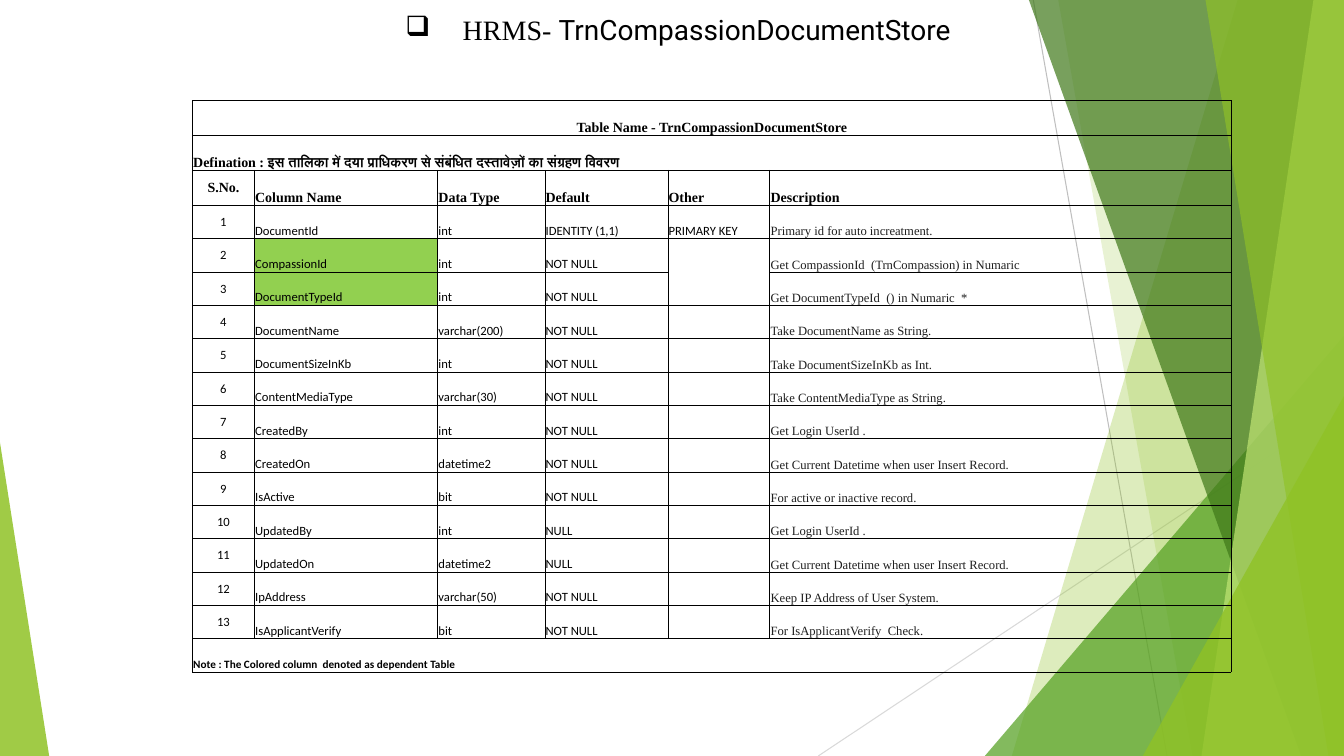
"""Build the slide that documents the TrnCompassionDocumentStore table."""
import lxml.etree
import pptx
import pptx.dml.color
import pptx.enum.shapes
import pptx.enum.text
import pptx.oxml.ns
import pptx.util

Cm = pptx.util.Cm
Pt = pptx.util.Pt
qn = pptx.oxml.ns.qn
CENTER = pptx.enum.text.PP_ALIGN.CENTER
LEFT = pptx.enum.text.PP_ALIGN.LEFT
BOTTOM = pptx.enum.text.MSO_ANCHOR.BOTTOM
MIDDLE = pptx.enum.text.MSO_ANCHOR.MIDDLE

SLIDE_WIDTH, SLIDE_HEIGHT = 33.87, 19.05
SERIF, SANS, TITLE_FONT = "Times New Roman", "Calibri", "Roboto"
COLORS = {
    "black": "000000", "ink": "1F1F1F", "dependent": "92D050",
    "gray": "BFBFBF", "pale_gray": "D9D9D9", "lime": "90C226",
    "green": "54A021", "dark_green": "3F7819", "pale_lime": "C0E474",
}
COLUMN_WIDTHS = [1.56, 4.62, 2.7, 3.1, 2.57, 11.62]
TALL_ROW, ROW = 0.88, 0.84
TABLE_NAME = "Table Name - TrnCompassionDocumentStore"
DEFINITION = "Defination : इस तालिका में दया प्राधिकरण से संबंधित दस्तावेज़ों का संग्रहण विवरण"
NOTE = "Note : The Colored column  denoted as dependent Table"
HEADINGS = ["S.No.", "Column Name", "Data Type", "Default", "Other", "Description"]
FIELDS = [
    ("DocumentId", "int", "IDENTITY (1,1)", "PRIMARY KEY", "Primary id for auto increatment."),
    ("CompassionId", "int", "NOT NULL", "", "Get CompassionId  (TrnCompassion) in Numaric"),
    ("DocumentTypeId", "int", "NOT NULL", "", "Get DocumentTypeId  () in Numaric  *"),
    ("DocumentName", "varchar(200)", "NOT NULL", "", "Take DocumentName as String."),
    ("DocumentSizeInKb", "int", "NOT NULL", "", "Take DocumentSizeInKb as Int."),
    ("ContentMediaType", "varchar(30)", "NOT NULL", "", "Take ContentMediaType as String."),
    ("CreatedBy", "int", "NOT NULL", "", "Get Login UserId ."),
    ("CreatedOn", "datetime2", "NOT NULL", "", "Get Current Datetime when user Insert Record."),
    ("IsActive", "bit", "NOT NULL", "", "For active or inactive record."),
    ("UpdatedBy", "int", "NULL", "", "Get Login UserId ."),
    ("UpdatedOn", "datetime2", "NULL", "", "Get Current Datetime when user Insert Record."),
    ("IpAddress", "varchar(50)", "NOT NULL", "", "Keep IP Address of User System."),
    ("IsApplicantVerify", "bit", "NOT NULL", "", "For IsApplicantVerify  Check."),
]
DEPENDENT_FIELDS = ("CompassionId", "DocumentTypeId")


def rgb(color):
    return pptx.dml.color.RGBColor.from_string(COLORS[color])


def put_text(paragraph, text, size=9, font=SANS, color="black", bold=False, align=LEFT):
    paragraph.alignment = align
    if not text:
        lxml.etree.SubElement(paragraph._p, qn("a:endParaRPr"), sz=str(size * 100))
        return
    run = paragraph.add_run()
    run.text = text
    run.font.size = Pt(size)
    run.font.name = font
    run.font.bold = bold
    run.font.color.rgb = rgb(color)


def paint(shape, color, opacity):
    shape.shadow.inherit = False
    shape.line.fill.background()
    shape.fill.solid()
    shape.fill.fore_color.rgb = rgb(color)
    tint = shape._element.spPr.find(qn("a:solidFill"))[0]
    lxml.etree.SubElement(tint, qn("a:alpha"), val=str(opacity * 1000))


def add_ray(slide, start, end, color):
    ray = slide.shapes.add_connector(
        pptx.enum.shapes.MSO_CONNECTOR.STRAIGHT, *map(Cm, start + end))
    ray.line.color.rgb = rgb(color)
    ray.line.width = Pt(0.75)
    lxml.etree.SubElement(ray._element.spPr, qn("a:effectLst"))


def add_blade(slide, top_x, bottom_x, color, opacity):
    outline = slide.shapes.build_freeform(Cm(top_x), 0)
    corners = [(SLIDE_WIDTH, 0), (SLIDE_WIDTH, SLIDE_HEIGHT), (bottom_x, SLIDE_HEIGHT)]
    outline.add_line_segments([(Cm(x), Cm(y)) for x, y in corners], close=True)
    paint(outline.convert_to_shape(), color, opacity)


def add_wedge(slide, left, top, width, apex, color, opacity):
    wedge = slide.shapes.add_shape(
        pptx.enum.shapes.MSO_SHAPE.ISOSCELES_TRIANGLE,
        Cm(left), Cm(top), Cm(width), Cm(SLIDE_HEIGHT - top))
    wedge.adjustments[0] = apex
    paint(wedge, color, opacity)


def add_backdrop(slide):
    add_ray(slide, (26.04, 0), (29.41, SLIDE_HEIGHT), "gray")
    add_ray(slide, (SLIDE_WIDTH, 10.24), (20.62, SLIDE_HEIGHT), "pale_gray")
    add_blade(slide, 31.19, 25.5, "lime", 30)
    add_blade(slide, 26.67, 30.05, "lime", 20)
    add_wedge(slide, 24.82, 8.46, 9.05, 1, "green", 72)
    add_blade(slide, 25.93, 32.79, "dark_green", 70)
    add_blade(slide, 33.1, 30.28, "pale_lime", 70)
    add_blade(slide, 30.38, 33.48, "lime", 65)
    add_wedge(slide, 28.8, 9.98, 5.07, 1, "lime", 80)
    add_wedge(slide, 0, 11.15, 1.24, 0, "lime", 85)


def add_title(slide):
    title = slide.shapes.add_textbox(Cm(4.11), Cm(0.2), Cm(20.88), Cm(3.18))
    title.text_frame.word_wrap = True
    heading = title.text_frame.paragraphs[0]
    heading.level = 4
    indents = heading._p.get_or_add_pPr()
    indents.set("marL", str(Cm(6.35)))
    indents.set("indent", str(-Cm(1.27)))
    lxml.etree.SubElement(indents, qn("a:buChar"), char="❑")
    put_text(heading, " HRMS- ", size=20, font=SERIF, align=CENTER)
    put_text(heading, "TrnCompassionDocumentStore", size=20, font=TITLE_FONT, align=CENTER)


def add_borders(cell, open_sides):
    properties = cell._tc.get_or_add_tcPr()
    for side in "LRTB":
        border = lxml.etree.SubElement(properties, qn(f"a:ln{side}"), w=str(Pt(0.5)))
        if side in open_sides:
            lxml.etree.SubElement(border, qn("a:noFill"))
        else:
            fill = lxml.etree.SubElement(border, qn("a:solidFill"))
            lxml.etree.SubElement(fill, qn("a:srgbClr"), val=COLORS["black"])


def fill_cell(cell, text, fill=None, open_sides="", anchor=BOTTOM, **text_format):
    cell.margin_left = cell.margin_right = cell.margin_top = Cm(0.02)
    cell.margin_bottom = 0
    cell.vertical_anchor = anchor
    add_borders(cell, open_sides)
    if fill:
        cell.fill.solid()
        cell.fill.fore_color.rgb = rgb(fill)
    else:
        cell.fill.background()
    put_text(cell.text_frame.paragraphs[0], text, **text_format)


def fill_banner(grid, row, text, **text_format):
    last = len(COLUMN_WIDTHS) - 1
    grid.cell(row, 0).merge(grid.cell(row, last))
    for column in range(last + 1):
        fill_cell(grid.cell(row, column), "" if column else text, **text_format)


def fill_field(grid, row, number, field):
    name, data_type, default, other, description = field
    open_sides = {"CompassionId": "B", "DocumentTypeId": "T"}.get(name, "")
    fill_cell(grid.cell(row, 0), str(number), anchor=MIDDLE, align=CENTER)
    fill_cell(grid.cell(row, 1), name, fill="dependent" if name in DEPENDENT_FIELDS else None)
    fill_cell(grid.cell(row, 2), data_type)
    fill_cell(grid.cell(row, 3), default)
    fill_cell(grid.cell(row, 4), other, open_sides=open_sides)
    fill_cell(grid.cell(row, 5), description, font=SERIF, color="ink")


def add_schema(slide):
    heights = [TALL_ROW] * 3 + [ROW] * (len(FIELDS) + 1)
    grid = slide.shapes.add_table(
        len(heights), len(COLUMN_WIDTHS), Cm(4.85), Cm(2.53),
        Cm(sum(COLUMN_WIDTHS)), Cm(sum(heights))).table
    grid.first_row = grid.horz_banding = False
    for column, width in zip(grid.columns, COLUMN_WIDTHS):
        column.width = Cm(width)
    for row, height in zip(grid.rows, heights):
        row.height = Cm(height)
    bold_serif = {"size": 10, "font": SERIF, "bold": True}
    fill_banner(grid, 0, TABLE_NAME, align=CENTER, **bold_serif)
    fill_banner(grid, 1, DEFINITION, **bold_serif)
    for column, heading in enumerate(HEADINGS):
        placing = {} if column else {"anchor": MIDDLE, "align": CENTER}
        fill_cell(grid.cell(2, column), heading, **placing, **bold_serif)
    for number, field in enumerate(FIELDS, 1):
        fill_field(grid, number + 2, number, field)
    fill_banner(grid, len(heights) - 1, NOTE, size=8, bold=True)


def main():
    deck = pptx.Presentation()
    deck.slide_width, deck.slide_height = Cm(SLIDE_WIDTH), Cm(SLIDE_HEIGHT)
    slide = deck.slides.add_slide(deck.slide_layouts[6])
    add_backdrop(slide)
    add_title(slide)
    add_schema(slide)
    deck.save("out.pptx")


if __name__ == "__main__":
    main()
